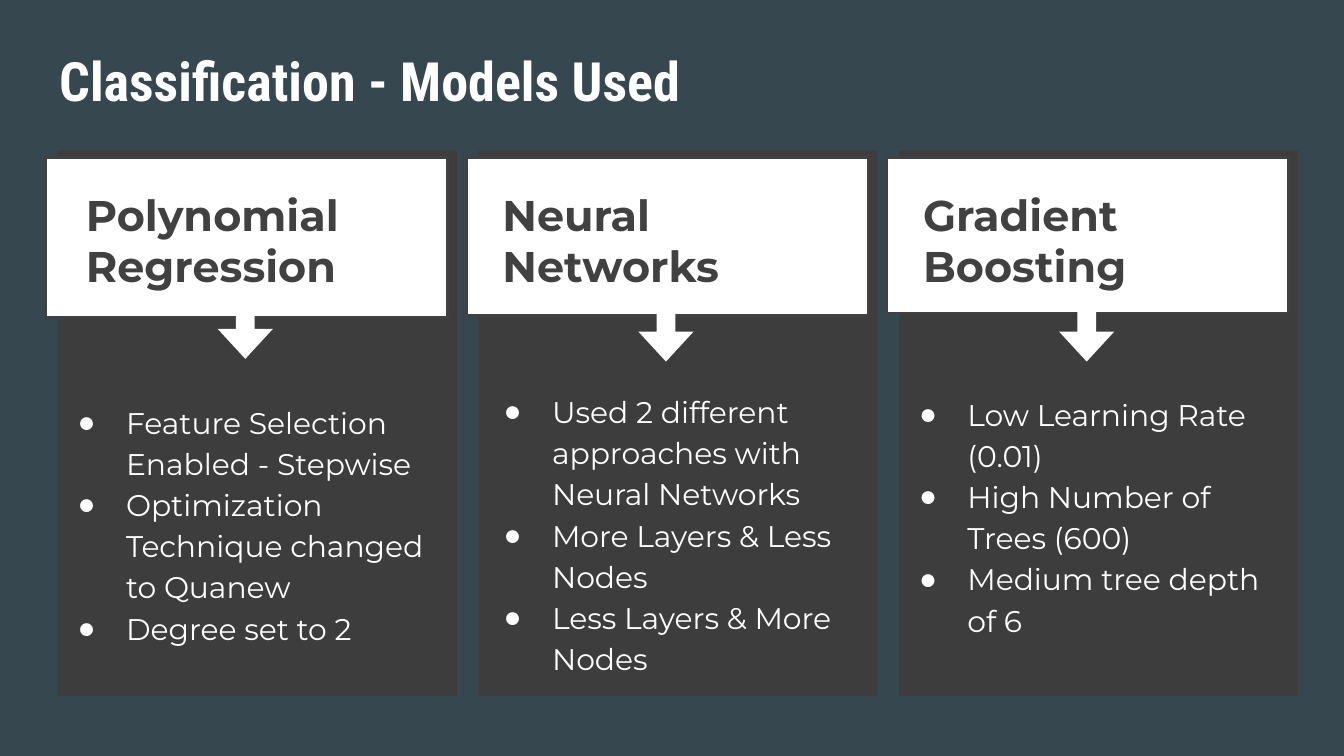
from dataclasses import dataclass

from lxml.etree import SubElement
from pptx import Presentation
from pptx.dml.color import RGBColor
from pptx.enum.shapes import MSO_SHAPE as Shape
from pptx.enum.text import MSO_ANCHOR as Anchor, MSO_AUTO_SIZE as AutoSize, PP_ALIGN as Align
from pptx.oxml.ns import qn
from pptx.util import Inches, Pt

SLATE = RGBColor(0x37, 0x47, 0x4F)
CHARCOAL = RGBColor(0x3D, 0x3D, 0x3D)
INK = RGBColor(0x41, 0x41, 0x41)
WHITE = RGBColor(0xFF, 0xFF, 0xFF)

TITLE_FONT = "Roboto Condensed"
BODY_FONT = "Montserrat"
BULLET_FONT = "Arial"

MARGIN = 0.34
COLUMN_PITCH = 3.13
CARD_WIDTH = 2.97
CARD_OFFSET = 0.09
CARD_TOP = 1.12
HEADER_TOP = 1.17
HEADING_TOP = 1.3


@dataclass
class Model:
    heading: str
    points: list
    header_height: float
    heading_inset: float
    heading_size: tuple
    arrow_top: float
    points_inset: float
    points_top: float
    points_height: float


MODELS = [
    Model("Polynomial Regression",
          ["Feature Selection Enabled - Stepwise",
           "Optimization Technique changed to Quanew",
           "Degree set to 2"],
          1.19, 0.2, (2.65, 0.67), 2.27, 0, 2.87, 2.2),
    Model("Neural Networks",
          ["Used 2 different approaches with Neural Networks",
           "More Layers & Less Nodes",
           "Less Layers & More Nodes"],
          1.18, 0.17, (2.21, 0.61), 2.29, 0.04, 2.79, 2.2),
    Model("Gradient Boosting",
          ["Low Learning Rate (0.01)",
           "High Number of Trees (600)",
           "Medium tree depth of 6"],
          1.16, 0.17, (2.65, 0.53), 2.29, 0, 2.81, 2.26),
]


def place(left, top, width, height):
    return [Inches(length) for length in (left, top, width, height)]


def add_span(para, text, font, size, color, bold=False):
    span = para.add_run()
    span.text = text
    span.font.name = font
    span.font.size = Pt(size)
    span.font.bold = bold
    span.font.color.rgb = color


def format_frame(frame):
    frame.word_wrap = True
    frame.auto_size = AutoSize.NONE
    frame.vertical_anchor = Anchor.TOP
    frame.margin_left = frame.margin_right = Inches(0.1)
    frame.margin_top = frame.margin_bottom = Inches(0.1)


def add_title(page, text):
    title = page.shapes.title
    title.left, title.top, title.width, title.height = place(MARGIN, 0.25, 9.32, 0.63)
    format_frame(title.text_frame)
    para = title.text_frame.paragraphs[0]
    para.alignment = Align.LEFT
    add_span(para, text, TITLE_FONT, 29, WHITE, bold=True)


def add_panel(card, kind, area, fill, line=None):
    panel = card.shapes.add_shape(kind, *place(*area))
    panel.shadow.inherit = False
    panel.fill.solid()
    panel.fill.fore_color.rgb = fill
    if line is None:
        panel.line.fill.background()
    else:
        panel.line.color.rgb = line
        panel.line.width = Pt(1.5)
    return panel


def add_arrow(card, left, top):
    arrow = add_panel(card, Shape.RIGHT_ARROW, (left, top, 0.39, 0.41), WHITE)
    arrow.rotation = 90
    arrow.adjustments[0] = 0.34
    arrow.adjustments[1] = 0.57


def add_text_frame(card, area):
    frame = card.shapes.add_textbox(*place(*area)).text_frame
    format_frame(frame)
    return frame


def add_bullet(para):
    para.line_spacing = 1.15
    properties = para._p.get_or_add_pPr()
    properties.set("marL", str(Inches(0.5)))
    properties.set("indent", str(Inches(-0.36)))
    color = SubElement(properties, qn("a:buClr"))
    SubElement(color, qn("a:srgbClr"), val=str(WHITE))
    SubElement(properties, qn("a:buFont"), typeface=BULLET_FONT)
    SubElement(properties, qn("a:buChar"), char="●")


def add_points(card, area, points):
    frame = add_text_frame(card, area)
    for index, point in enumerate(points):
        para = frame.add_paragraph() if index else frame.paragraphs[0]
        add_bullet(para)
        add_span(para, point, BODY_FONT, 16, WHITE)


def add_card(page, column, model):
    left = MARGIN + column * COLUMN_PITCH
    card = page.shapes.add_group_shape()
    add_panel(card, Shape.RECTANGLE, (left + CARD_OFFSET, CARD_TOP, CARD_WIDTH, 4.06), CHARCOAL)
    add_panel(card, Shape.RECTANGLE, (left, HEADER_TOP, 2.99, model.header_height), WHITE, INK)
    heading = add_text_frame(card, (left + model.heading_inset, HEADING_TOP, *model.heading_size))
    add_span(heading.paragraphs[0], model.heading, BODY_FONT, 23, INK, bold=True)
    add_arrow(card, left + 1.29, model.arrow_top)
    add_points(card, (left + model.points_inset, model.points_top, CARD_WIDTH, model.points_height),
               model.points)


def main():
    deck = Presentation()
    deck.slide_width = Inches(10)
    deck.slide_height = deck.slide_width * 9 // 16
    page = deck.slides.add_slide(deck.slide_layouts[5])
    page.background.fill.solid()
    page.background.fill.fore_color.rgb = SLATE
    add_title(page, "Classification - Models Used")
    for column, model in enumerate(MODELS):
        add_card(page, column, model)
    deck.save("out.pptx")


if __name__ == "__main__":
    main()
